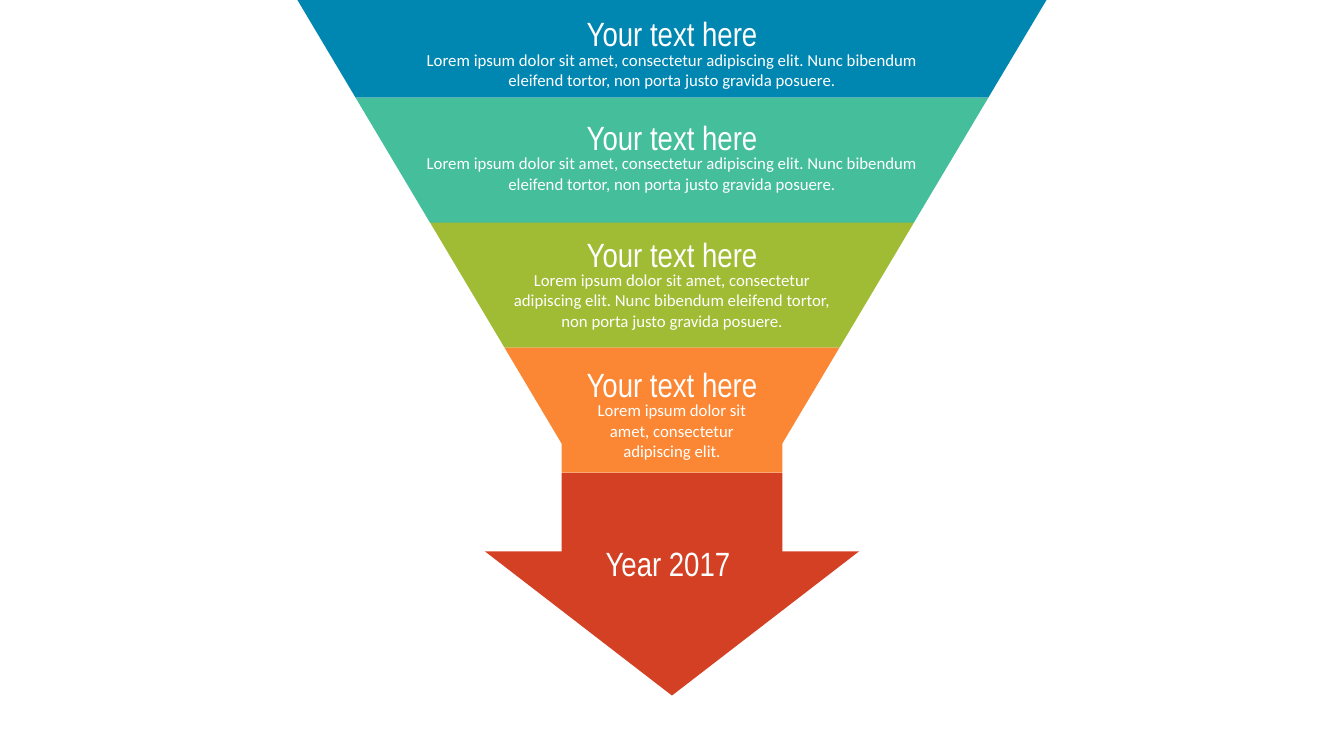
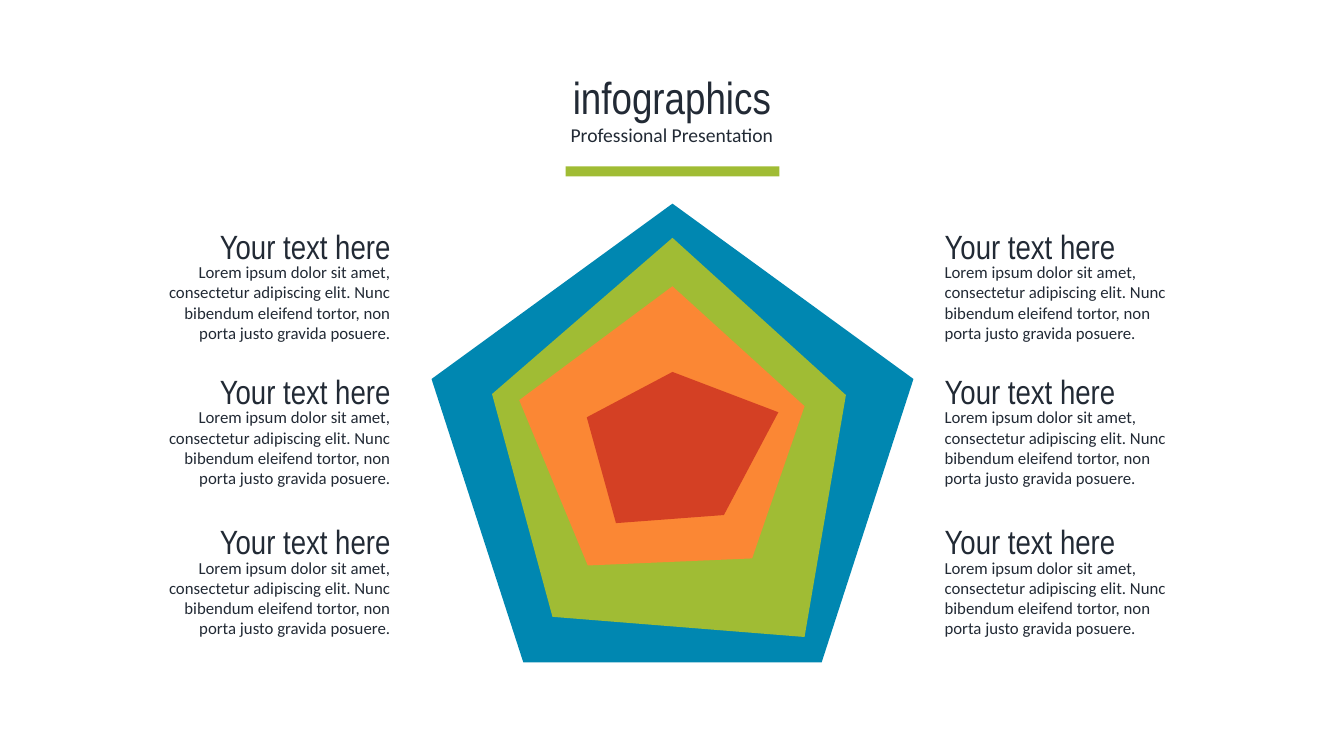
from dataclasses import dataclass
from pptx import Presentation
from pptx.dml.color import RGBColor
from pptx.enum.shapes import MSO_SHAPE
from pptx.enum.text import MSO_ANCHOR, MSO_AUTO_SIZE, PP_ALIGN
from pptx.util import Pt

PX = 9144  # EMU in one px, 100 px to the inch
WIDE, HIGH = 1333, 750
MID = WIDE / 2


@dataclass(frozen=True)
class Theme:
    blue: str = "0087B1"
    teal: str = "45BE9B"
    green: str = "A0BC34"
    orange: str = "FB8734"
    red: str = "D44024"
    white: str = "FFFFFF"
    ink: str = "222A35"
    title: tuple = ("Arial Narrow", 32)
    sub: tuple = ("Calibri", 14)
    head: tuple = ("Arial Narrow", 24)
    body: tuple = ("Calibri", 12)


T = Theme()
HEAD = "Your text here"
SHORT = "Lorem ipsum dolor sit amet, consectetur adipiscing elit."
LONG = SHORT + " Nunc bibendum eleifend tortor, non porta justo gravida posuere."

# Funnel: slanted side from (295, 0) to the stem at (557, 440)
RIM, STEM, NECK = 295, 557, 440
# top, bottom, colour, text top, text width, body, body lines
BANDS = [
    (0, 97, T.blue, 8, 538, LONG, 2),
    (97, 221, T.teal, 111, 538, LONG, 2),
    (221, 345, T.green, 227, 352, LONG, 3),
    (345, 469, T.orange, 356, 203, SHORT, 3),
]
ARROW = [(STEM, 469), (STEM, 547), (481, 547), (MID, 690)]
YEAR = ("Year 2017", (561, 534, 203, 50))

TITLE, SUB = "infographics", "Professional Presentation"
RINGS = [
    (T.blue, [(667, 202), (906, 376), (815, 657), (519, 657), (428, 376)]),
    (T.green, [(667, 236), (839, 392), (798, 632), (548, 612), (488, 391)]),
    (T.orange, [(667, 284), (798, 403), (746, 554), (583, 561), (515, 397)]),
    (T.red, [(667, 369), (772, 409), (718, 511), (611, 519), (582, 414)]),
]
SIDES = [(142, PP_ALIGN.RIGHT), (927, PP_ALIGN.LEFT)]
ROWS = [219, 363, 512]


def emu(*vals):
    return [round(v * PX) for v in vals]


def paint(shape, color):
    shape.shadow.inherit = False
    shape.fill.solid()
    shape.fill.fore_color.rgb = RGBColor.from_string(color)
    shape.line.fill.background()


def draw(shapes, points, color):
    first, *rest = [emu(*p) for p in points]
    path = shapes.build_freeform(*first)
    path.add_line_segments(rest, close=True)
    paint(path.convert_to_shape(), color)


def write(shape, text, style, color, align):
    frame = shape.text_frame
    frame.word_wrap = True
    frame.vertical_anchor = MSO_ANCHOR.TOP
    frame.auto_size = MSO_AUTO_SIZE.SHAPE_TO_FIT_TEXT
    para = frame.paragraphs[0]
    para.text = text
    para.alignment = align
    para.font.name, size = style
    para.font.size = Pt(size)
    para.font.color.rgb = RGBColor.from_string(color)


def label(slide, box, text, style, color, align=PP_ALIGN.CENTER):
    write(slide.shapes.add_textbox(*emu(*box)), text, style, color, align)


def block(slide, left, top, width, body, lines, color, align):
    """Heading with its body text just below."""
    label(slide, (left, top, width, 50), HEAD, T.head, color, align)
    label(slide, (left, top + 36, width, 10 + 20 * lines), body, T.body, color, align)


def edge(y):
    """Left side of the funnel at height y."""
    return RIM + (STEM - RIM) * min(y / NECK, 1)


def mirror(half):
    return half + [(WIDE - x, y) for x, y in reversed(half)]


def funnel(deck):
    slide = deck.slides.add_slide(deck.slide_layouts[6])
    group = slide.shapes.add_group_shape().shapes
    draw(group, mirror(ARROW), T.red)
    for top, end, color, *_ in BANDS:
        stops = [top, NECK, end] if top < NECK < end else [top, end]
        draw(group, mirror([(edge(y), y) for y in stops]), color)
    for _, _, _, top, width, body, lines in BANDS:
        block(slide, MID - width / 2, top, width, body, lines, T.white, PP_ALIGN.CENTER)
    text, box = YEAR
    label(slide, box, text, T.head, T.white)


def pentagon(deck):
    slide = deck.slides.add_slide(deck.slide_layouts[5])
    title = slide.shapes.title
    title.left, title.top, title.width, title.height = emu(0, 64, WIDE, 64)
    write(title, TITLE, T.title, T.ink, PP_ALIGN.CENTER)
    label(slide, (68, 117, 1197, 34), SUB, T.sub, T.ink)
    rule = slide.shapes.add_shape(MSO_SHAPE.RECTANGLE, *emu(561, 165, 212, 10))
    paint(rule, T.green)
    group = slide.shapes.add_group_shape().shapes
    for color, points in RINGS:
        draw(group, points, color)
    for top in ROWS:
        for left, align in SIDES:
            block(slide, left, top, 255, LONG, 4, T.ink, align)


def main():
    deck = Presentation()
    deck.slide_width, deck.slide_height = emu(WIDE, HIGH)
    funnel(deck)
    pentagon(deck)
    deck.save("out.pptx")


if __name__ == "__main__":
    main()
